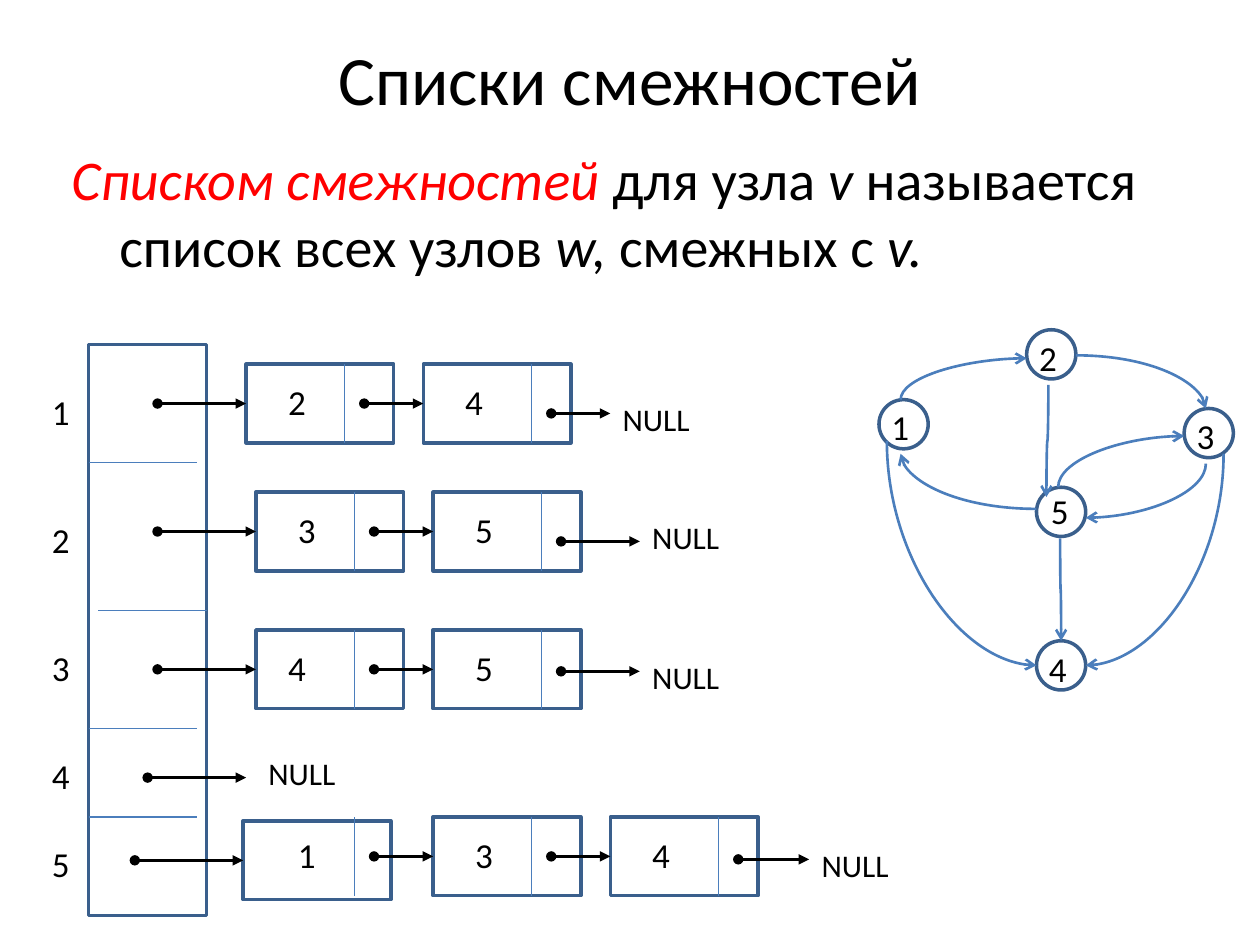
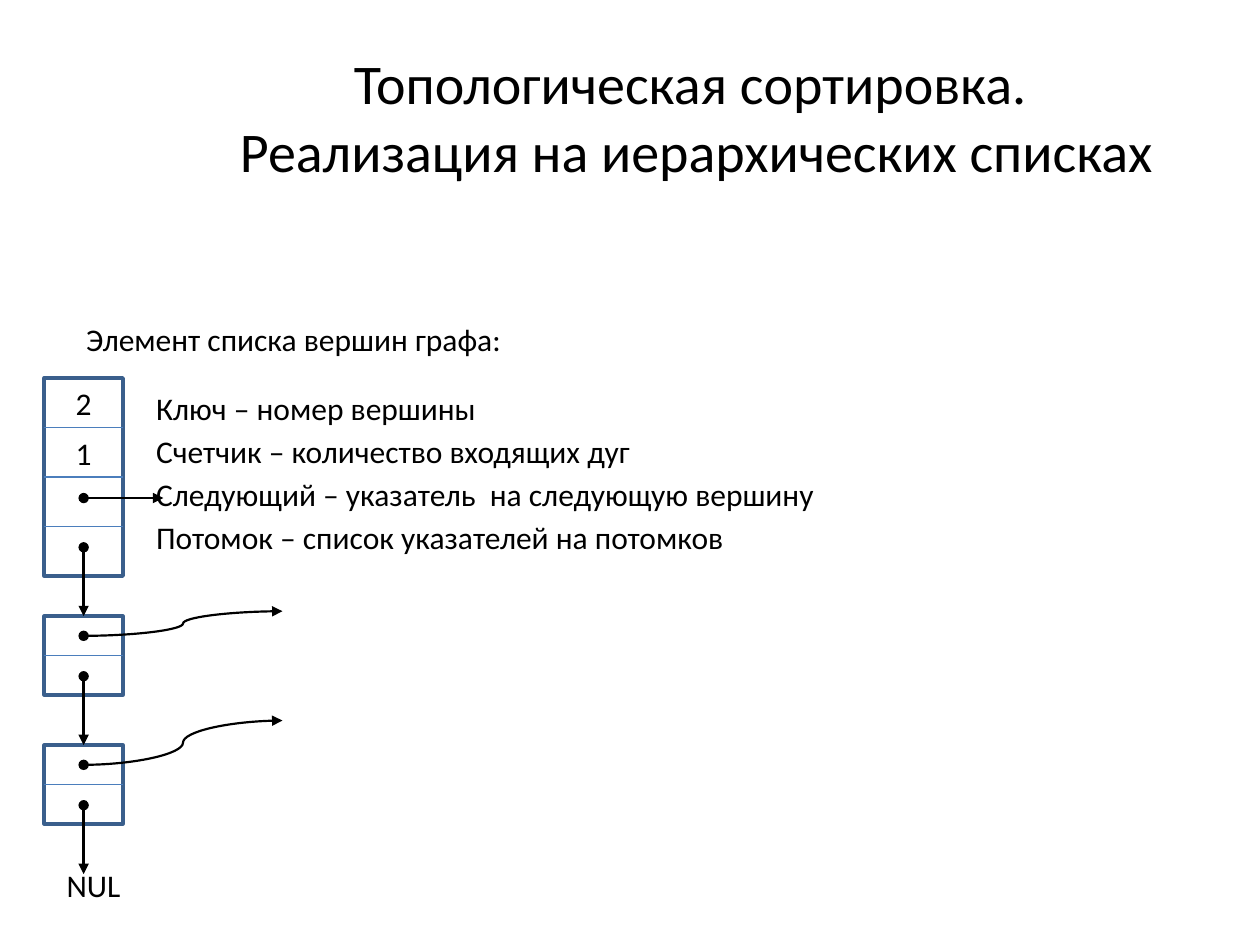
from dataclasses import dataclass

from lxml.etree import SubElement
from pptx import Presentation
from pptx.dml.color import RGBColor
from pptx.enum.shapes import MSO_CONNECTOR as LINK, MSO_SHAPE as SHAPE
from pptx.enum.text import MSO_ANCHOR as ANCHOR, MSO_AUTO_SIZE as AUTO, PP_ALIGN as ALIGN
from pptx.oxml.ns import qn
from pptx.util import Inches, Pt

WIDTH, HEIGHT = Inches(10), Inches(7.5)
COLUMNS = 128  # the grid is 128 columns by 96 rows of square units
FONT = "Calibri"
COLORS = {"text": "000000", "term": "FF0000", "outline": "3A5F8C",
          "rule": "4B7EBC", "pointer": "000000"}
DIGIT, NULL = (4.3, 5.6), (9.5, 5.1)
CELL_W, CELL_H = 15, 8
NODE = 5


@dataclass
class Cell:
    value: str
    left: float
    text_left: float
    divider: float
    drop: float = 0


@dataclass
class AdjacencyList:
    vertex: str
    label_top: float
    top: float
    dot: tuple
    cells: list
    tail_y: float
    tail_end: float
    null_at: tuple


LISTS = [
    AdjacencyList("1", 39, 37, (16, 41), [Cell("2", 25, 28, 35), Cell("4", 43, 46, 54)],
                  42, 62, (62, 40)),
    AdjacencyList("2", 52, 50, (16, 54), [Cell("3", 26, 29, 36), Cell("5", 44, 47, 55)],
                  55, 65, (65, 52)),
    AdjacencyList("3", 65, 64, (16, 68), [Cell("4", 26, 28, 36), Cell("5", 44, 47, 55)],
                  68.2, 65, (65, 66.2)),
    AdjacencyList("4", 76, 75, (15, 79), [], 79, 25, (26, 76)),
    AdjacencyList("5", 85, 83, (13.7, 87.4),
                  [Cell("1", 24.7, 29, 36, 0.4), Cell("3", 44, 47, 54), Cell("4", 62, 65, 73)],
                  87.3, 82.2, (82.2, 85.3)),
]
ARRAY_RULES = [(9, 47), (10, 62), (9, 74), (9, 83)]

# vertex: left and top of its circle, left and top of its label
NODES = {
    "1": (89.3, 40.6, 89.3, 40.6),
    "2": (104.3, 33.5, 104.3, 33.5),
    "3": (120.3, 41.5, 120.3, 41.5),
    "5": (105.3, 49.5, 105.5, 49.1),
    "4": (105.3, 65.1, 105.3, 65.1),
}
# start, end, preset, whether the curve leaves its start vertically
EDGES = [
    ((91.5, 40.6), (104.3, 36.4), "curvedConnector2", True),
    ((122.5, 47.1), (110.3, 52.6), "curvedConnector2", True),
    ((106.5, 39.1), (106.3, 50.5), "curvedConnector3", True),
    ((107.5, 49.5), (120.3, 44.3), "curvedConnector2", True),
    ((105.3, 51.7), (91.5, 46.1), "curvedConnector2", False),
    ((109.3, 36.1), (122.5, 41.5), "curvedConnector2", False),
    ((90.1, 44.8), (105.3, 67.6), "curvedConnector2", True),
    ((107.7, 54.7), (107.8, 65.1), "curvedConnector3", True),
    ((124.3, 46.1), (110.3, 67.6), "curvedConnector2", True),
]

FIELDS = ["Ключ – номер вершины", "Счетчик – количество входящих дуг",
          "Следующий – указатель  на следующую вершину",
          "Потомок – список указателей на потомков"]


def grid(*units):
    return [round(u * WIDTH / COLUMNS) for u in units]


def color(name):
    return RGBColor.from_string(COLORS[name])


def style_run(r, size, name="text", italic=False):
    r.font.name, r.font.size, r.font.italic = FONT, Pt(size), italic
    r.font.color.rgb = color(name)


def text_box(slide, left, top, size, text, pt=18, align=ALIGN.LEFT, wrap=True,
             anchor=ANCHOR.TOP, grow=True, after=0):
    tf = slide.shapes.add_textbox(*grid(left, top, *size)).text_frame
    tf.word_wrap = wrap
    tf.auto_size = AUTO.SHAPE_TO_FIT_TEXT if grow else AUTO.NONE
    tf.vertical_anchor = anchor
    tf.text = text
    for p in tf.paragraphs:
        p.alignment, p.space_after = align, Pt(after)
        for r in p.runs:
            style_run(r, pt)
    return tf


def title(slide, left, top, size, text, pt):
    text_box(slide, left, top, size, text, pt, ALIGN.CENTER, anchor=ANCHOR.MIDDLE, grow=False)


def label(slide, left, top, text):
    is_digit = text.isdigit()
    text_box(slide, left, top, DIGIT if is_digit else NULL, text,
             20 if is_digit else 18, wrap=False)


def outline(slide, left, top, width, height, preset=SHAPE.RECTANGLE):
    sp = slide.shapes.add_shape(preset, *grid(left, top, width, height))
    sp.shadow.inherit = False
    sp.fill.background()
    sp.line.color.rgb, sp.line.width = color("outline"), Pt(2)
    return sp


def connector(slide, start, end, name, pt, kind=LINK.STRAIGHT, head=None, tail=None):
    cxn = slide.shapes.add_connector(kind, *grid(*start, *end))
    cxn.line.color.rgb, cxn.line.width = color(name), Pt(pt)
    ln = cxn.line._get_or_add_ln()
    for tag, arrow in (("a:headEnd", head), ("a:tailEnd", tail)):
        if arrow:
            SubElement(ln, qn(tag)).set("type", arrow)
    SubElement(cxn._element.spPr, qn("a:effectLst"))
    return cxn


def rule(slide, left, right, y, pt=0.75):
    connector(slide, (left, y), (right, y), "rule", pt)


def pointer(slide, start, end, target=None, side=1, kind=LINK.STRAIGHT, pt=1.5):
    """Black arrow with a dot at its start, joined to a side of target if one is given."""
    cxn = connector(slide, start, end, "pointer", pt, kind, "oval", "triangle")
    if target is not None:
        cxn.end_connect(target, side)


def edge(slide, start, end, preset, vertical):
    (x1, y1), (x2, y2) = start, end
    if vertical:  # turned a quarter clockwise about the middle, so lay it out unturned
        cx, cy, hx, hy = (x1 + x2) / 2, (y1 + y2) / 2, (y2 - y1) / 2, (x1 - x2) / 2
        start, end = (cx - hx, cy - hy), (cx + hx, cy + hy)
    cxn = connector(slide, start, end, "rule", 1.5, LINK.CURVE, tail="arrow")
    sp_pr = cxn._element.spPr
    sp_pr.find(qn("a:prstGeom")).set("prst", preset)
    if vertical:
        sp_pr.find(qn("a:xfrm")).set("rot", str(90 * 60000))


def definition(slide):
    parts = [("Списком смежностей ", "term", True), ("для узла ", "text", False),
             ("v", "text", True), (" называется список всех узлов ", "text", False),
             ("w,", "text", True), (" смежных с ", "text", False), ("v.", "text", True)]
    p = text_box(slide, 6, 14, (115.2, 16), "", grow=False).paragraphs[0]
    p.space_before = Pt(6.4)
    p_pr = p._p.get_or_add_pPr()
    p_pr.set("marL", str(Inches(0.38)))
    p_pr.set("indent", str(-Inches(0.38)))
    for text, name, italic in parts:
        r = p.add_run()
        r.text = text
        style_run(r, 32, name, italic)


def adjacency_list(slide, row):
    label(slide, 4, row.label_top, row.vertex)
    dot = row.dot
    for cell in row.cells:
        top = row.top + cell.drop
        box = outline(slide, cell.left, top, CELL_W, CELL_H)
        pointer(slide, dot, (cell.left, top + CELL_H / 2), box)
        connector(slide, (cell.divider, row.top), (cell.divider, row.top + CELL_H), "rule", 0.75)
        label(slide, cell.text_left, row.top + 1, cell.value)
        dot = (cell.divider + 2, row.top + CELL_H / 2)
    pointer(slide, (dot[0], row.tail_y), (row.tail_end, row.tail_y))
    label(slide, *row.null_at, "NULL")


def graph(slide):
    for vertex, (left, top, text_left, text_top) in NODES.items():
        outline(slide, left, top, NODE, NODE, SHAPE.OVAL)
        label(slide, text_left, text_top, vertex)
    for e in EDGES:
        edge(slide, *e)


def lists_slide(slide):
    title(slide, 6.4, 3.8, (115.2, 8.2), "Списки смежностей", 39.6)
    definition(slide)
    outline(slide, 9, 35, 12, 58)
    for left, y in ARRAY_RULES:
        rule(slide, left, left + 11, y)
    for row in LISTS:
        adjacency_list(slide, row)
    graph(slide)


def sorting_slide(slide):
    title(slide, 20, 3.8, (101.6, 16),
          "Топологическая сортировка. \vРеализация на иерархических списках", 32)
    text_box(slide, 7.5, 31.9, (53.4, 5.1), "Элемент списка вершин графа:")
    text_box(slide, 14.6, 38.9, (71, 18.4), "\n".join(FIELDS), after=3)

    left, width, top, field = 4.5, 8, 38.4, 5.03
    middle = left + width / 2
    outline(slide, left, top, width, 4 * field)
    for i in range(1, 4):
        rule(slide, left, left + width, top + i * field, 1)
    for i, value in enumerate("21"):
        text_box(slide, left, top + i * field, (width, 5.1), value, align=ALIGN.CENTER)
    pointer(slide, (middle, 50.6), (16.6, 50.6))

    dot_y = 55.6
    for child_top, curve_end in ((62.6, 62.1), (75.7, 73.2)):
        box = outline(slide, left, child_top, width, 8)
        rule(slide, left, left + width, child_top + 4, 1)
        pointer(slide, (middle, dot_y), (middle, child_top), box, 0)
        pointer(slide, (middle, child_top + 2), (28.7, curve_end), kind=LINK.CURVE, pt=1.25)
        dot_y = child_top + 6.1
    pointer(slide, (middle, dot_y), (middle, dot_y + 7))
    text_box(slide, 5.5, 87.3, (width, 5.1), "NUL", align=ALIGN.CENTER)


def main():
    prs = Presentation()
    prs.slide_width, prs.slide_height = WIDTH, HEIGHT
    for build in (lists_slide, sorting_slide):
        build(prs.slides.add_slide(prs.slide_layouts[6]))
    prs.save("out.pptx")


if __name__ == "__main__":
    main()
